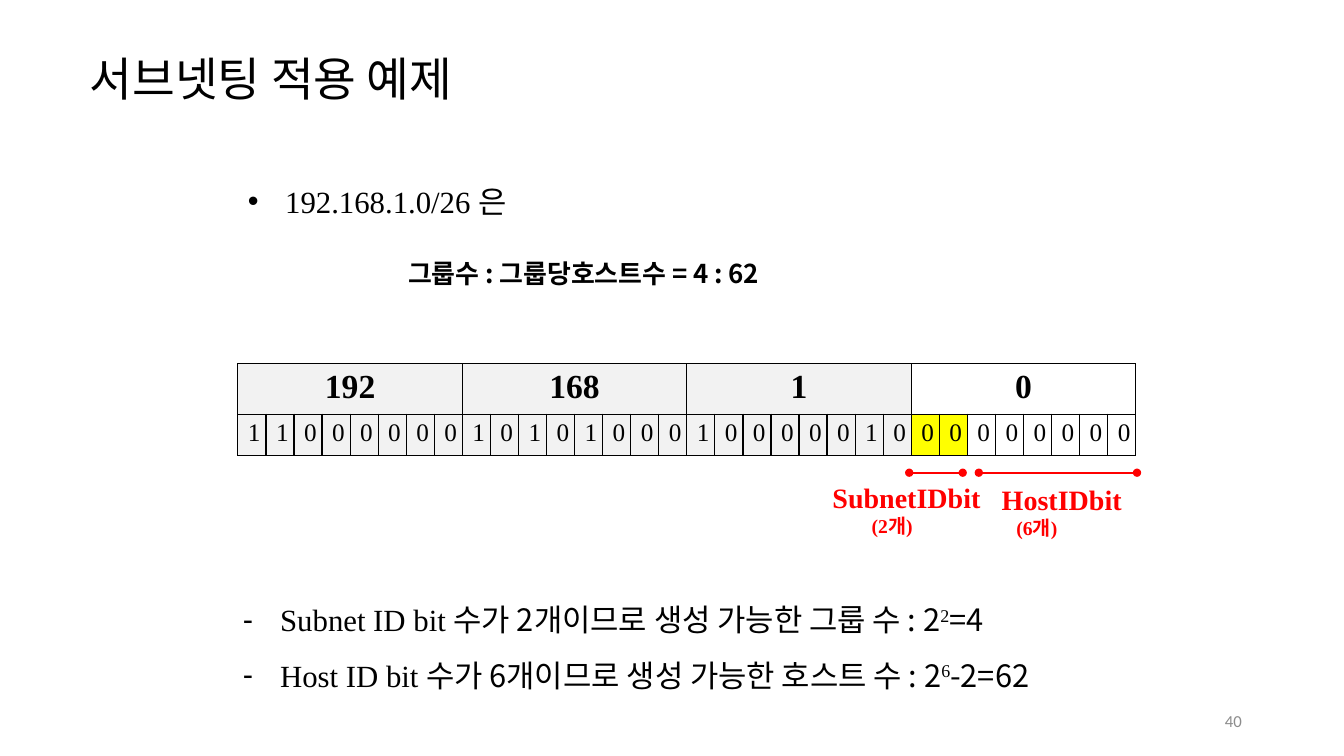
"""Build the subnetting example slide for 192.168.1.0/26."""
from dataclasses import dataclass
from typing import Optional

from lxml import etree
from pptx import Presentation, util as u
from pptx.dml import color
from pptx.enum import shapes, text
from pptx.oxml import ns


@dataclass(frozen=True)
class Theme:
    ink: str = "000000"
    accent: str = "FF0000"
    muted: str = "8C8C8C"
    network: str = "F2F2F2"
    subnet: str = "FFFF00"
    serif: str = "Times New Roman"
    hangul: str = "Noto Sans CJK KR"
    sans: str = "Calibri"
    bullet: str = "Arial"
    title: float = 33.2
    octet: float = 24
    body: float = 22
    label: float = 20
    ratio: float = 18.5
    bit: float = 18
    count: float = 14
    page: float = 12


@dataclass(frozen=True)
class Box:
    """Percentages of the slide's width and height."""
    left: float
    top: float
    width: float
    height: float


@dataclass(frozen=True)
class Run:
    words: str
    family: str
    raised: bool = False


@dataclass(frozen=True)
class Line:
    runs: tuple[Run, ...]
    size: float
    ink: str = Theme.ink
    bold: bool = False
    align: Optional[text.PP_ALIGN] = None
    spacing: Optional[float] = None
    bullet: str = ""
    indent: float = 0


@dataclass(frozen=True)
class Block:
    box: Box
    lines: tuple[Line, ...]
    middle: bool = False


@dataclass(frozen=True)
class Octet:
    value: str
    bits: str


@dataclass(frozen=True)
class Span:
    start: float
    end: float


THEME = Theme()
HANGING = 2.78
SPAN_ROW = 62.53
OCTET_BITS = 8
NETWORK_BITS = 24
PREFIX_BITS = 26
ADDRESS_BOX = Box(17.7, 48.13, 66.82, 12.14)
OCTET_ROW, BIT_ROW = 6.67, 5.47
OCTETS = (Octet("192", "11000000"), Octet("168", "10101000"),
          Octet("1", "10000010"), Octet("0", "00000000"))
SPANS = (Span(67.65, 71.63), Span(72.83, 84.6))


def plain(words: str, family: str, size: float, **style) -> Line:
    return Line((Run(words, family),), size, **style)


def id_label(box: Box, name: str, count: str, indent: float) -> Block:
    red = {"ink": THEME.accent, "bold": True}
    return Block(box, (plain(name, THEME.serif, THEME.label, **red),
                       plain(count, THEME.serif, THEME.count, indent=indent, **red)))


def bulleted(bullet: str, *runs: Run, spacing: Optional[float] = None) -> Line:
    return Line(runs, THEME.body, bullet=bullet, spacing=spacing, indent=HANGING)


def conclusion(subject: str, claim: str, exponent: str, result: str) -> Line:
    return bulleted("-", Run(subject, THEME.serif), Run(claim, THEME.hangul),
                    Run(exponent, THEME.serif, True), Run(result, THEME.hangul), spacing=1.5)


BLOCKS = (
    Block(Box(5.93, 1.07, 64.67, 19.33),
          (plain("서브넷팅 적용 예제", THEME.hangul, THEME.title, spacing=0.9),), True),
    Block(Box(70.65, 92.67, 22.5, 5.33),
          (plain("40", THEME.sans, THEME.page, ink=THEME.muted, align=text.PP_ALIGN.RIGHT),), True),
    Block(Box(29.63, 33.47, 29.55, 5.47),
          (plain("그룹수 : 그룹당호스트수 = 4 : 62", THEME.hangul, THEME.ratio, bold=True),)),
    Block(Box(17.7, 23.47, 23.1, 6.27),
          (bulleted("•", Run("192.168.1.0/26 ", THEME.serif), Run("은", THEME.hangul)),)),
    id_label(Box(61.2, 62.93, 12.6, 8.93), "SubnetIDbit", "(2개)", 2.92),
    id_label(Box(73.8, 63.2, 10.5, 13.47), "HostIDbit", "(6개)", 1.09),
    Block(Box(17.33, 76.4, 65.03, 16.13),
          (conclusion("Subnet ID bit ", "수가 2개이므로 생성 가능한 그룹 수 : 2", "2", "=4"),
           conclusion("Host ID bit ", "수가 6개이므로 생성 가능한 호스트 수 : 2", "6", "-2=62"))),
)

deck = Presentation()
deck.slide_width, deck.slide_height = u.Inches(13.333), u.Inches(7.5)
slide = deck.slides.add_slide(deck.slide_layouts[6])


def across(share: float) -> int:
    return round(deck.slide_width * share / 100)


def down(share: float) -> int:
    return round(deck.slide_height * share / 100)


def place(box: Box) -> tuple[int, int, int, int]:
    return across(box.left), down(box.top), across(box.width), down(box.height)


def set_family(font, family: str, properties) -> None:
    font.name = family
    etree.SubElement(properties, ns.qn("a:ea"), typeface=THEME.hangul)


def write_line(paragraph, line: Line) -> None:
    properties = paragraph._p.get_or_add_pPr()
    if line.align is not None:
        paragraph.alignment = line.align
    if line.spacing:
        paragraph.line_spacing = line.spacing
    if line.indent:
        properties.set("marL", str(across(line.indent)))
    if line.bullet:
        properties.set("indent", str(-across(line.indent)))
        etree.SubElement(properties, ns.qn("a:buFont"), typeface=THEME.bullet)
        etree.SubElement(properties, ns.qn("a:buChar"), char=line.bullet)
    font = paragraph.font
    font.size, font.bold = u.Pt(line.size), line.bold
    font.color.rgb = color.RGBColor.from_string(line.ink)
    shared = len({run.family for run in line.runs}) == 1
    if shared:
        set_family(font, line.runs[0].family, properties.find(ns.qn("a:defRPr")))
    for part in line.runs:
        run = paragraph.add_run()
        run.text = part.words
        if not shared:
            set_family(run.font, part.family, run._r.get_or_add_rPr())
        if part.raised:
            run._r.get_or_add_rPr().set("baseline", "30000")


def draw_block(block: Block) -> None:
    frame = slide.shapes.add_textbox(*place(block.box)).text_frame
    frame.word_wrap = True
    frame.margin_right = u.Inches(0.1 if block.middle else 0)
    frame.vertical_anchor = text.MSO_ANCHOR.MIDDLE if block.middle else text.MSO_ANCHOR.TOP
    for index, line in enumerate(block.lines):
        write_line(frame.add_paragraph() if index else frame.paragraphs[0], line)


def style_cell(cell, fill: Optional[str]) -> None:
    properties = cell._tc.get_or_add_tcPr()
    for side in ("a:lnL", "a:lnR", "a:lnT", "a:lnB"):
        border = etree.SubElement(properties, ns.qn(side), w=str(u.Pt(1)))
        solid = etree.SubElement(border, ns.qn("a:solidFill"))
        etree.SubElement(solid, ns.qn("a:srgbClr"), val=THEME.ink)
    if fill:
        cell.fill.solid()
        cell.fill.fore_color.rgb = color.RGBColor.from_string(fill)
    else:
        cell.fill.background()


def draw_address() -> None:
    bits = "".join(octet.bits for octet in OCTETS)
    grid = slide.shapes.add_table(2, len(bits), *place(ADDRESS_BOX)).table
    grid.first_row = grid.horz_banding = False
    grid.rows[0].height, grid.rows[1].height = down(OCTET_ROW), down(BIT_ROW)
    for index, bit in enumerate(bits):
        grid.columns[index].width = across(ADDRESS_BOX.width / len(bits))
        network = THEME.network if index < NETWORK_BITS else None
        subnet = THEME.subnet if NETWORK_BITS <= index < PREFIX_BITS else network
        style_cell(grid.cell(0, index), network)
        style_cell(grid.cell(1, index), subnet)
        write_line(grid.cell(1, index).text_frame.paragraphs[0],
                   plain(bit, THEME.serif, THEME.bit))
    for index, octet in enumerate(OCTETS):
        first = grid.cell(0, index * OCTET_BITS)
        first.merge(grid.cell(0, (index + 1) * OCTET_BITS - 1))
        write_line(first.text_frame.paragraphs[0],
                   plain(octet.value, THEME.serif, THEME.octet, bold=True,
                         align=text.PP_ALIGN.CENTER))


def draw_span(span: Span) -> None:
    bracket = slide.shapes.add_connector(shapes.MSO_CONNECTOR.STRAIGHT, across(span.start),
                                         down(SPAN_ROW), across(span.end), down(SPAN_ROW))
    bracket.line.color.rgb = color.RGBColor.from_string(THEME.accent)
    bracket.line.width = u.Pt(1.5)
    for end in ("a:headEnd", "a:tailEnd"):
        etree.SubElement(bracket.line._get_or_add_ln(), ns.qn(end), type="oval")
    etree.SubElement(bracket._element.spPr, ns.qn("a:effectLst"))


draw_address()
for id_span in SPANS:
    draw_span(id_span)
for text_block in BLOCKS:
    draw_block(text_block)
deck.save("out.pptx")
